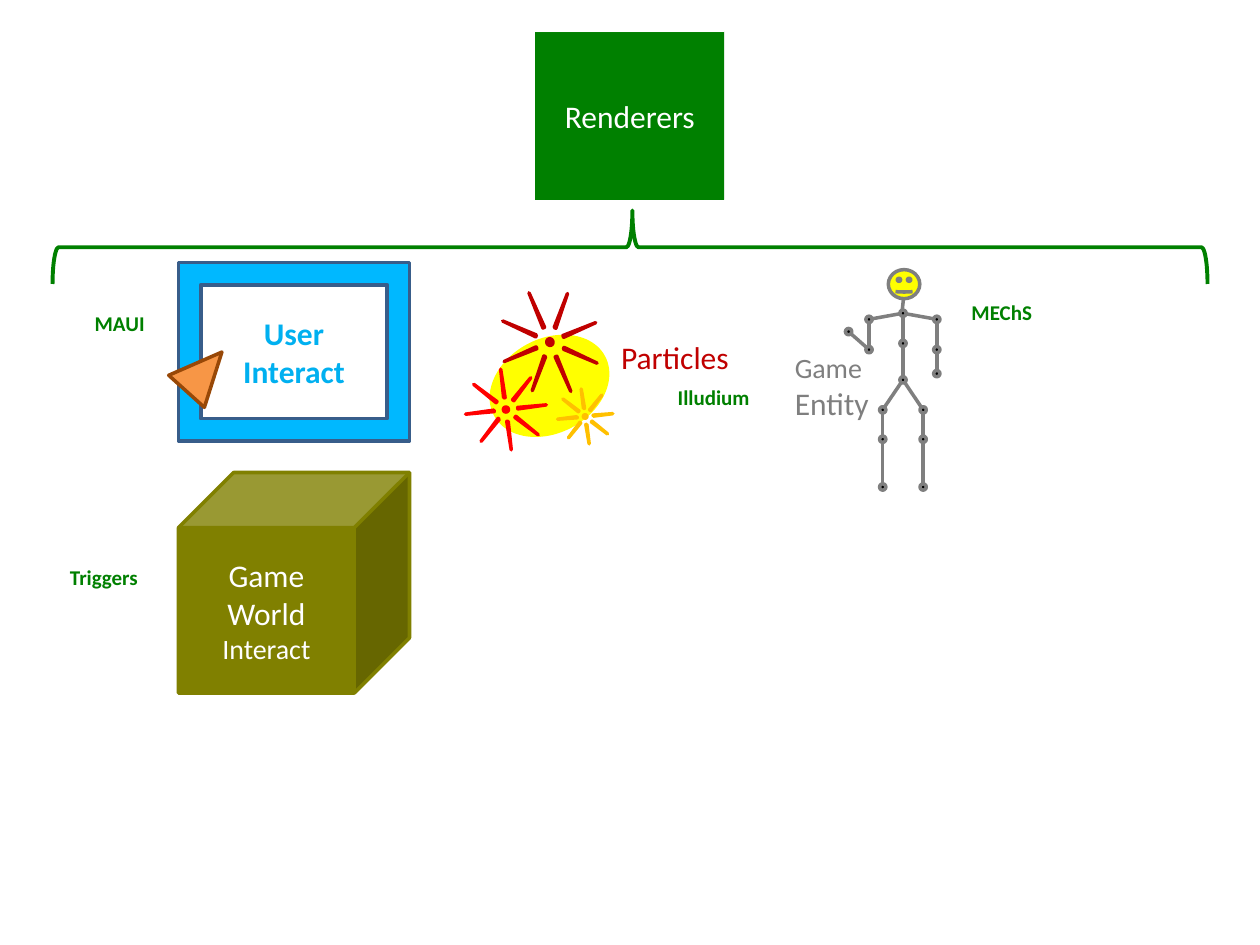
"""Build a slide of game engine parts gathered under their renderers."""
from dataclasses import dataclass
from math import hypot
from typing import Optional

from pptx import Presentation
from pptx.dml.color import RGBColor
from pptx.enum import shapes, text
from pptx.oxml import ns, xmlchemy
from pptx.util import Pt

Kind = shapes.MSO_SHAPE
GREEN = RGBColor(0x00, 0x80, 0x00)
OLIVE = RGBColor(0x80, 0x80, 0x00)
WHITE = RGBColor(0xFF, 0xFF, 0xFF)
BLACK = RGBColor(0x00, 0x00, 0x00)
GRAY = RGBColor(0x7F, 0x7F, 0x7F)
YELLOW = RGBColor(0xFF, 0xFF, 0x00)
GOLD = RGBColor(0xFF, 0xC0, 0x00)
RED = RGBColor(0xFF, 0x00, 0x00)
CRIMSON = RGBColor(0xC0, 0x00, 0x00)
ORANGE = RGBColor(0xF7, 0x96, 0x46)
BROWN = RGBColor(0x98, 0x48, 0x07)
SKY = RGBColor(0x00, 0xB8, 0xFF)
SKY_TEXT = RGBColor(0x00, 0xB0, 0xF0)
NAVY = RGBColor(0x38, 0x5D, 0x8A)

JOINT_SIZE = 3.6


@dataclass
class Words:
    content: str
    sizes: tuple
    color: RGBColor
    bold: bool = False
    centered: bool = True


@dataclass
class Figure:
    kind: Kind
    box: tuple
    fill: Optional[RGBColor] = None
    line: Optional[RGBColor] = None
    width: float = 2
    rotation: float = 0
    adjustments: tuple = ()
    words: Optional[Words] = None


@dataclass
class Label:
    box: tuple
    words: Words
    wrap: bool = False


def component(name: str) -> Words:
    return Words(name, (12,), GREEN, bold=True)


BACKDROP = Figure(Kind.OVAL, (278, 193.5, 72, 54), YELLOW, rotation=332)
FIGURES = [
    BACKDROP,
    Figure(Kind.CUBE, (306, 18, 108, 96), GREEN, adjustments=(0,),
           words=Words("Renderers", (18,), WHITE)),
    Figure(Kind.FRAME, (102, 150, 132, 102), SKY, NAVY, adjustments=(0.125,),
           words=Words("User\vInteract", (18,), SKY_TEXT, bold=True)),
    Figure(Kind.ISOSCELES_TRIANGLE, (103, 197.3, 27.4, 30.2), ORANGE, BROWN, rotation=42),
    Figure(Kind.LEFT_BRACE, (339, -188.7, 42, 660), None, GREEN, 2.25, 90, (0.083, 0.498)),
    Figure(Kind.SUN, (285.8, 164.9, 56.9, 61.2), CRIMSON, CRIMSON, rotation=337, adjustments=(0.469,)),
    Figure(Kind.SUN, (265.7, 211, 46.8, 46.1), RED, RED, rotation=38, adjustments=(0.469,)),
    Figure(Kind.SUN, (318.2, 222.5, 32.4, 31), GOLD, GOLD, rotation=38, adjustments=(0.469,)),
    Figure(Kind.CUBE, (102, 270, 132, 126), OLIVE, OLIVE, adjustments=(0.25,),
           words=Words("Game\nWorld\nInteract", (18, 18, 16), WHITE)),
]
HEAD = Figure(Kind.SMILEY_FACE, (507.6, 154.1, 18, 16.6), YELLOW, GRAY, adjustments=(0.006,))

LABELS = [
    Label((347.8, 189.4, 76.3, 28.8), Words("Particles", (18,), CRIMSON, centered=False)),
    Label((447.1, 196.6, 59.8, 48.2), Words("Game\nEntity", (16, 18), GRAY, centered=False), True),
    Label((46.8, 174.2, 43.2, 21.6), component("MAUI")),
    Label((343.4, 216, 128.9, 36), component("Illudium"), True),
    Label((547.9, 167.8, 49, 36), component("MEChS")),
    Label((32.4, 319, 54, 21.6), component("Triggers")),
]

JOINTS = {
    "neck": (516, 179), "chest": (516, 196.2), "hip": (516, 217.1),
    "right shoulder": (496.6, 182.5), "right elbow": (496.6, 199.8), "right hand": (484.9, 189.5),
    "left shoulder": (535.3, 182.5), "left elbow": (535.3, 199.8), "left hand": (535.3, 213.5),
    "right knee": (504.4, 234.2), "right shin": (504.4, 251), "right foot": (504.4, 278.3),
    "left knee": (527.5, 234.2), "left shin": (527.5, 251), "left foot": (527.5, 278.3),
}
LIMBS = [("neck", "chest", "hip")] + [
    tuple([start] + [f"{side} {part}" for part in parts])
    for side in ("right", "left")
    for start, parts in (("neck", ("shoulder", "elbow", "hand")),
                         ("hip", ("knee", "shin", "foot")))
]
NECK_BONE = ((516.2, 171.4), (515.6, 177.1))


def points(values: tuple) -> list:
    return [Pt(value) for value in values]


def write(text_frame, words: Words) -> None:
    text_frame.text = words.content
    sizes = words.sizes * len(text_frame.paragraphs)
    for paragraph, size in zip(text_frame.paragraphs, sizes):
        paragraph.alignment = text.PP_ALIGN.CENTER if words.centered else text.PP_ALIGN.LEFT
        for run in paragraph.runs:
            run.font.name = "Calibri"
            run.font.size = Pt(size)
            run.font.bold = words.bold
            run.font.color.rgb = words.color


def draw_figure(slide, figure: Figure) -> None:
    shape = slide.shapes.add_shape(figure.kind, *points(figure.box))
    shape.shadow.inherit = False
    shape.rotation = figure.rotation
    for index, value in enumerate(figure.adjustments):
        shape.adjustments[index] = value
    if figure.fill is None:
        shape.fill.background()
    else:
        shape.fill.solid()
        shape.fill.fore_color.rgb = figure.fill
    if figure.line is None:
        shape.line.fill.background()
    else:
        shape.line.color.rgb = figure.line
        shape.line.width = Pt(figure.width)
    if figure.words:
        shape.text_frame.vertical_anchor = text.MSO_ANCHOR.MIDDLE
        write(shape.text_frame, figure.words)


def draw_label(slide, label: Label) -> None:
    text_frame = slide.shapes.add_textbox(*points(label.box)).text_frame
    text_frame.word_wrap = label.wrap
    text_frame.auto_size = text.MSO_AUTO_SIZE.SHAPE_TO_FIT_TEXT
    write(text_frame, label.words)


def draw_bone(slide, start: tuple, end: tuple) -> None:
    connector = slide.shapes.add_connector(shapes.MSO_CONNECTOR.STRAIGHT, *points(start + end))
    connector.line.color.rgb = GRAY
    connector.line.width = Pt(2)
    connector._element.spPr.append(xmlchemy.OxmlElement("a:effectLst"))


def draw_limb(slide, limb: tuple) -> None:
    for first, second in zip(limb, limb[1:]):
        (x1, y1), (x2, y2) = JOINTS[first], JOINTS[second]
        trim = JOINT_SIZE / 2 / hypot(x2 - x1, y2 - y1)
        dx, dy = (x2 - x1) * trim, (y2 - y1) * trim
        draw_bone(slide, (x1 + dx, y1 + dy), (x2 - dx, y2 - dy))


def draw_skeleton(slide) -> None:
    for x, y in JOINTS.values():
        box = (x - JOINT_SIZE / 2, y - JOINT_SIZE / 2, JOINT_SIZE, JOINT_SIZE)
        draw_figure(slide, Figure(Kind.OVAL, box, BLACK, GRAY))
    for limb in LIMBS:
        draw_limb(slide, limb)
    draw_bone(slide, *NECK_BONE)
    draw_figure(slide, HEAD)


def main() -> None:
    presentation = Presentation()
    presentation.slide_width, presentation.slide_height = Pt(720), Pt(540)
    slide = presentation.slides.add_slide(presentation.slide_layouts[6])
    for figure in FIGURES:
        draw_figure(slide, figure)
    draw_skeleton(slide)
    for label in LABELS:
        draw_label(slide, label)
    presentation.save("out.pptx")


if __name__ == "__main__":
    main()
